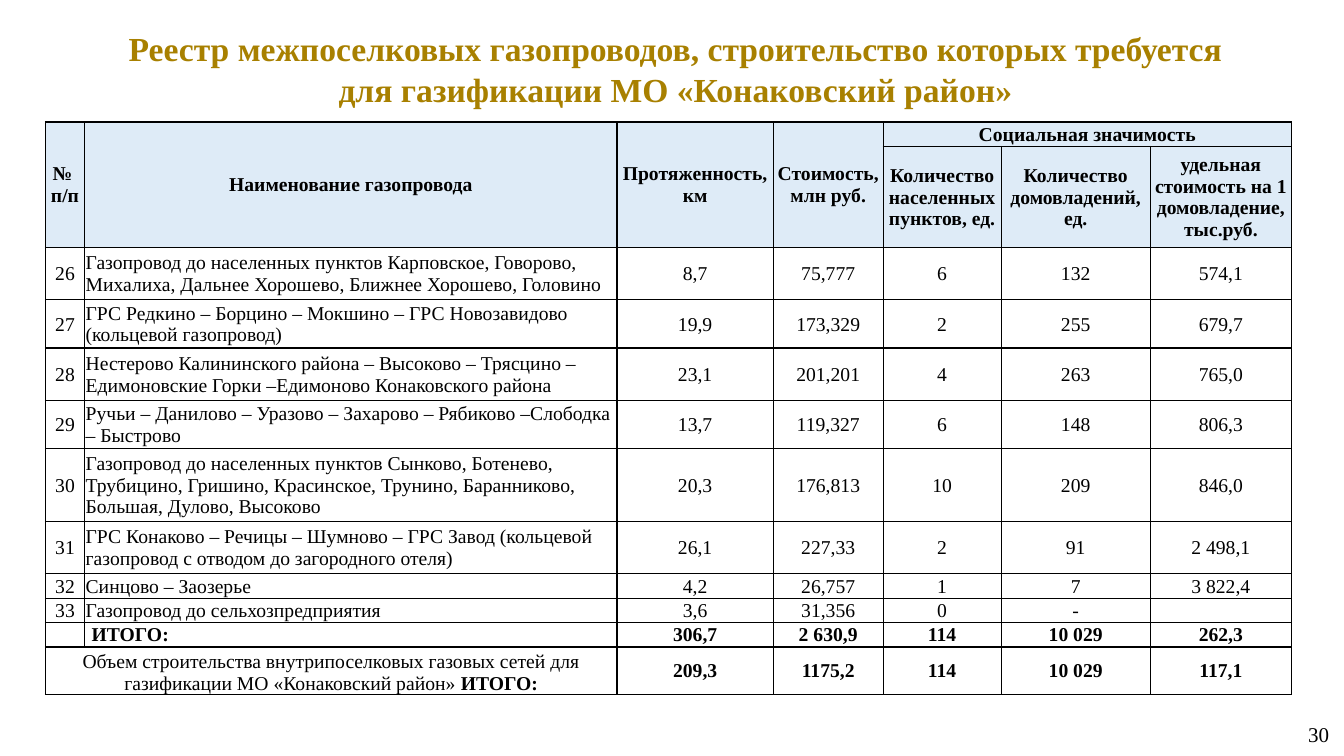
from lxml import etree
from pptx import Presentation
from pptx.dml.color import RGBColor
from pptx.enum.text import MSO_ANCHOR, PP_ALIGN
from pptx.oxml.ns import qn
from pptx.util import Inches, Pt

LEFT, CENTER, RIGHT = PP_ALIGN.LEFT, PP_ALIGN.CENTER, PP_ALIGN.RIGHT
TOP, MIDDLE, BOTTOM = MSO_ANCHOR.TOP, MSO_ANCHOR.MIDDLE, MSO_ANCHOR.BOTTOM
FONT = "Times New Roman"
BLACK, GOLD, HEADER_BLUE = "000000", "A88000", "DEEBF7"
TABLE_SIZE = 14
BORDER_WIDTH = 1
BORDER_SIDES = ("lnL", "lnR", "lnT", "lnB")

COLUMN_WIDTHS = [0.39, 5.28, 1.55, 1.09, 1.17, 1.48, 1.4]
ROW_HEIGHTS = [0.24, 1, 0.52, 0.48, 0.52, 0.48, 0.72, 0.52, 0.24, 0.24, 0.24, 0.47]
HEADER_ROWS = 2
TOTAL_ROW = 10
MERGES = [((0, column), (1, column)) for column in range(4)]
MERGES += [((0, 4), (0, 6)), ((11, 0), (11, 1))]

REGISTRY = [
    ["№ \nп/п", "Наименование газопровода", "Протяженность, км",
     "Стоимость, млн руб.", "Социальная значимость", "", ""],
    ["", "", "", "", "Количество населенных пунктов, ед.",
     ["Количество", "домовладений, ед."],
     "удельная стоимость на 1 домовладение, тыс.руб."],
    ["26", "Газопровод до населенных пунктов Карповское, Говорово, Михалиха, "
     "Дальнее Хорошево, Ближнее Хорошево, Головино",
     "8,7", "75,777", "6", "132", "574,1"],
    ["27", "ГРС Редкино – Борцино – Мокшино – ГРС Новозавидово (кольцевой газопровод)",
     "19,9", "173,329", "2", "255", "679,7"],
    ["28", "Нестерово Калининского района – Высоково – Трясцино – "
     "Едимоновские Горки –Едимоново Конаковского района",
     "23,1", "201,201", "4", "263", "765,0"],
    ["29", "Ручьи – Данилово – Уразово – Захарово – Рябиково –Слободка – Быстрово",
     "13,7", "119,327", "6", "148", "806,3"],
    ["30", "Газопровод до населенных пунктов Сынково, Ботенево, Трубицино, Гришино, "
     "Красинское, Трунино, Баранниково, Большая, Дулово, Высоково",
     "20,3", "176,813", "10", "209", "846,0"],
    ["31", "ГРС Конаково – Речицы – Шумново – ГРС Завод (кольцевой газопровод "
     "с отводом до загородного отеля)",
     "26,1", "227,33", "2", "91", "2 498,1"],
    ["32", "Синцово – Заозерье", "4,2", "26,757", "1", "7", "3 822,4"],
    ["33", "Газопровод до сельхозпредприятия", "3,6", "31,356", "0", "-", ""],
    ["", " ИТОГО:", "306,7", "2 630,9", "114", "10 029", "262,3"],
    [[[("Объем строительства внутрипоселковых газовых сетей для газификации "
        "МО «Конаковский район» ", False), ("ИТОГО:", True)]],
     "", "209,3", "1175,2", "114", "10 029", "117,1"],
]


def color(value):
    return RGBColor.from_string(value)


def write(frame, content, size, bold=False, fill=BLACK, align=CENTER):
    paragraphs = content if isinstance(content, list) else [content]
    for index, runs in enumerate(paragraphs):
        paragraph = frame.paragraphs[0] if index == 0 else frame.add_paragraph()
        paragraph.alignment = align
        if not runs:
            etree.SubElement(paragraph._p, qn("a:endParaRPr"), sz=str(size * 100))
            continue
        for text, weight in runs if isinstance(runs, list) else [(runs, bold)]:
            for number, line in enumerate(text.split("\n")):
                if number:
                    paragraph.add_line_break()
                run = paragraph.add_run()
                run.text = line
                run.font.name = FONT
                run.font.size = Pt(size)
                run.font.bold = weight
                run.font.color.rgb = color(fill)


def add_caption(slide, box, content, size, anchor=MIDDLE, **style):
    frame = slide.shapes.add_textbox(*map(Inches, box)).text_frame
    frame.word_wrap = True
    frame.vertical_anchor = anchor
    write(frame, content, size, **style)


def set_borders(cell):
    properties = cell._tc.get_or_add_tcPr()
    for index, side in enumerate(BORDER_SIDES):
        line = etree.Element(qn(f"a:{side}"), w=str(Pt(BORDER_WIDTH)))
        paint = etree.SubElement(line, qn("a:solidFill"))
        etree.SubElement(paint, qn("a:srgbClr"), val=BLACK)
        properties.insert(index, line)


def add_registry(slide, left, top):
    row_count, column_count = len(ROW_HEIGHTS), len(COLUMN_WIDTHS)
    frame = slide.shapes.add_table(row_count, column_count, Inches(left), Inches(top),
                                   Inches(sum(COLUMN_WIDTHS)), Inches(sum(ROW_HEIGHTS)))
    table = frame.table
    table.first_row = table.horz_banding = False
    for column, width in zip(table.columns, COLUMN_WIDTHS):
        column.width = Inches(width)
    for row, height in zip(table.rows, ROW_HEIGHTS):
        row.height = Inches(height)

    for row, values in enumerate(REGISTRY):
        header, total = row < HEADER_ROWS, row >= TOTAL_ROW
        for column, content in enumerate(values):
            cell = table.cell(row, column)
            cell.margin_left = cell.margin_right = Inches(0.02 if total else 0.01)
            cell.margin_top = Inches(0 if total else 0.01)
            cell.margin_bottom = 0
            last_label = row == row_count - 1 and column == 0
            cell.vertical_anchor = BOTTOM if last_label else MIDDLE
            if header:
                cell.fill.solid()
                cell.fill.fore_color.rgb = color(HEADER_BLUE)
            else:
                cell.fill.background()
            name = column == 1 and not header
            write(cell.text_frame, content, TABLE_SIZE, bold=header or total,
                  align=LEFT if name else CENTER)
            set_borders(cell)
    for first, last in MERGES:
        table.cell(*first).merge(table.cell(*last))


def main():
    presentation = Presentation()
    presentation.slide_width, presentation.slide_height = Inches(13.33), Inches(7.5)
    slide = presentation.slides.add_slide(presentation.slide_layouts[6])
    add_caption(slide, (10.57, 6.98, 2.71, 0.61), "30", 15, align=RIGHT)
    add_caption(slide, (0.86, 0.23, 11.76, 0.91),
                ["Реестр межпоселковых газопроводов, строительство которых требуется ",
                 "для газификации МО «Конаковский район» "],
                24, anchor=TOP, bold=True, fill=GOLD)
    add_registry(slide, 0.45, 1.21)
    presentation.save("out.pptx")


if __name__ == "__main__":
    main()
